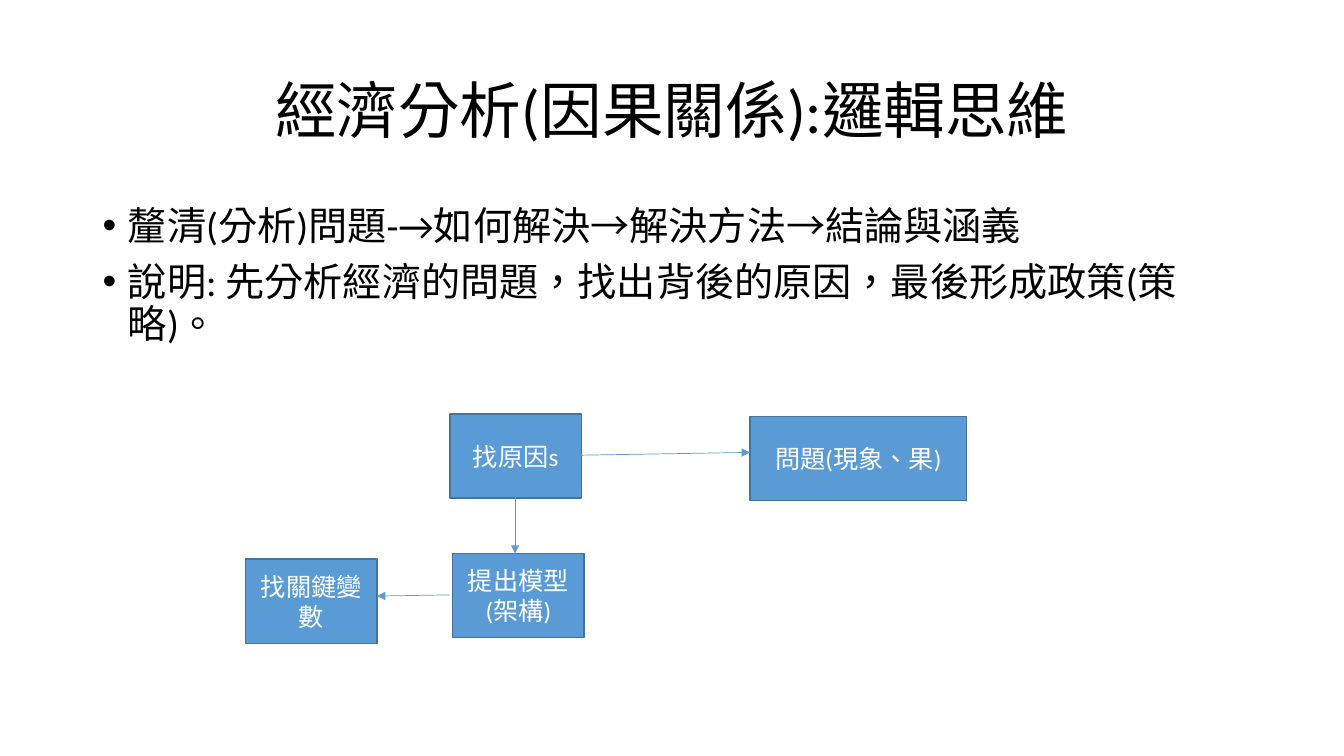
"""Build a slide on economic analysis with a cause-and-effect flow diagram."""
from lxml import etree
from pptx import Presentation
from pptx.dml.color import RGBColor
from pptx.enum.lang import MSO_LANGUAGE_ID
from pptx.enum.shapes import MSO_CONNECTOR, MSO_SHAPE
from pptx.enum.text import MSO_ANCHOR, MSO_AUTO_SIZE, PP_ALIGN
from pptx.oxml.ns import qn
from pptx.util import Cm, Pt

PROCESS = MSO_SHAPE.FLOWCHART_PROCESS
STRAIGHT = MSO_CONNECTOR.STRAIGHT
CENTER, LEFT = PP_ALIGN.CENTER, PP_ALIGN.LEFT
MIDDLE, TOP = MSO_ANCHOR.MIDDLE, MSO_ANCHOR.TOP
NO_FIT = MSO_AUTO_SIZE.NONE
CHINESE = MSO_LANGUAGE_ID.TRADITIONAL_CHINESE

FONT = "Calibri"
COLORS = {"text": "000000", "label": "FFFFFF", "fill": "5B9BD5", "edge": "43739E"}

TITLE = "經濟分析(因果關係):邏輯思維"
BULLETS = [
    "釐清(分析)問題-→如何解決→解決方法→結論與涵義",
    "說明: 先分析經濟的問題，找出背後的原因，最後形成政策(策略)。",
]
MARGIN, CONTENT_WIDTH = 2.33, 29.21
TITLE_AREA = (MARGIN, 1.01, CONTENT_WIDTH, 3.68)
BODY_AREA = (MARGIN, 5.07, CONTENT_WIDTH, 12.09)
INDENT = 0.64

STEP_WIDTH, STEP_HEIGHT = 3.31, 2.12
STEPS = [
    ("找原因s", 11.34, 10.43, STEP_WIDTH),
    ("問題(現象、果)", 18.9, 10.5, 5.46),
    ("提出模型(架構)", 11.41, 13.95, STEP_WIDTH),
    ("找關鍵變數", 6.19, 14.09, STEP_WIDTH),
]
ARROWS = [
    (14.64, 11.47, 18.9, 11.4),
    (12.98, 12.53, 12.98, 13.95),
    (11.34, 14.99, 9.5, 15.02),
]


def color(name):
    return RGBColor.from_string(COLORS[name])


def format_text(frame, size, color_name, align, anchor):
    frame.word_wrap = True
    frame.auto_size = NO_FIT
    frame.vertical_anchor = anchor
    for para in frame.paragraphs:
        para.alignment = align
        for span in para.runs:
            span.font.name = FONT
            span.font.size = Pt(size)
            span.font.language_id = CHINESE
            span.font.color.rgb = color(color_name)


def place(shape, area):
    shape.left, shape.top, shape.width, shape.height = map(Cm, area)


def fill_title(title):
    place(title, TITLE_AREA)
    title.text_frame.text = TITLE
    format_text(title.text_frame, 44, "text", CENTER, MIDDLE)
    title.text_frame.paragraphs[0].line_spacing = 0.9


def fill_body(body):
    place(body, BODY_AREA)
    body.text_frame.text = "\n".join(BULLETS)
    format_text(body.text_frame, 28, "text", LEFT, TOP)
    for para in body.text_frame.paragraphs:
        para.line_spacing = 0.9
        para.space_before = Pt(10)
        properties = para._p.get_or_add_pPr()
        properties.set("marL", str(Cm(INDENT)))
        properties.set("indent", str(-Cm(INDENT)))
        etree.SubElement(properties, qn("a:buFont"), typeface="Arial")
        etree.SubElement(properties, qn("a:buChar"), char="•")


def add_step(page, label, left, top, width):
    box = page.shapes.add_shape(PROCESS, Cm(left), Cm(top), Cm(width), Cm(STEP_HEIGHT))
    box.shadow.inherit = False
    box.fill.solid()
    box.fill.fore_color.rgb = color("fill")
    box.line.color.rgb = color("edge")
    box.line.width = Pt(1)
    box.text_frame.text = label
    format_text(box.text_frame, 18, "label", CENTER, MIDDLE)


def add_arrow(page, ends):
    arrow = page.shapes.add_connector(STRAIGHT, *map(Cm, ends))
    arrow.line.color.rgb = color("fill")
    arrow.line.width = Pt(0.5)
    etree.SubElement(arrow.line._get_or_add_ln(), qn("a:tailEnd"), type="triangle")
    etree.SubElement(arrow._element.spPr, qn("a:effectLst"))


def main():
    deck = Presentation()
    deck.slide_width, deck.slide_height = Cm(33.87), Cm(19.05)
    page = deck.slides.add_slide(deck.slide_layouts[1])
    fill_title(page.shapes.title)
    fill_body(page.placeholders[1])
    for step in STEPS:
        add_step(page, *step)
    for ends in ARROWS:
        add_arrow(page, ends)
    deck.save("out.pptx")


if __name__ == "__main__":
    main()
